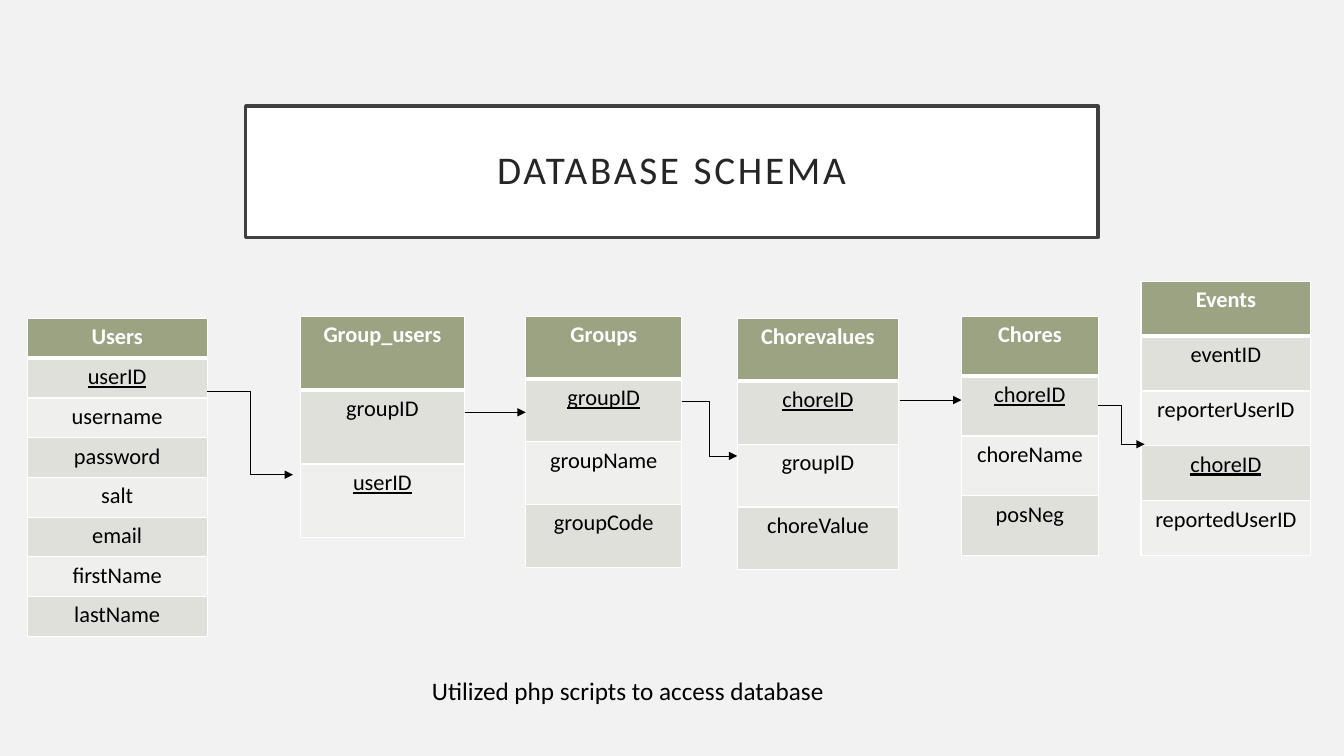
import dataclasses

import lxml.etree
import pptx
import pptx.dml.color
import pptx.enum.shapes
import pptx.enum.text
import pptx.oxml.ns
import pptx.util

Pt = pptx.util.Pt
qn = pptx.oxml.ns.qn
CENTER = pptx.enum.text.PP_ALIGN.CENTER


@dataclasses.dataclass(frozen=True)
class Theme:
    font: str = "Calibri"
    background: str = "F2F2F2"
    white: str = "FFFFFF"
    black: str = "000000"
    frame: str = "404040"
    title: str = "262626"
    header: str = "9CA383"
    bands: tuple = ("DEE0D9", "EFF0ED")
    title_size: int = 28
    note_size: int = 18
    cell_size: int = 16


theme = Theme()


def rgb(value):
    return pptx.dml.color.RGBColor.from_string(value)


def format_text(para, size, color, bold=False, underline=False):
    for span in para.runs:
        span.font.name = theme.font
        span.font.size = Pt(size)
        span.font.color.rgb = rgb(color)
        span.font.bold = bold
        span.font.underline = underline


deck = pptx.Presentation()
deck.slide_width, deck.slide_height = Pt(960), Pt(540)
page = deck.slides.add_slide(deck.slide_layouts[5])
page.background.fill.solid()
page.background.fill.fore_color.rgb = rgb(theme.background)

# Title in a framed box
title = page.shapes.title
title.left, title.top, title.width, title.height = Pt(175.5), Pt(75.8), Pt(608.7), Pt(93.8)
title.fill.solid()
title.fill.fore_color.rgb = rgb(theme.white)
title.line.color.rgb = rgb(theme.frame)
title.line.width = Pt(2.5)
frame = title.text_frame
frame.text = "DATABASE SCHEMA"
frame.word_wrap = True
frame.vertical_anchor = pptx.enum.text.MSO_ANCHOR.MIDDLE
frame.margin_left = frame.margin_top = frame.margin_right = frame.margin_bottom = Pt(14.4)
para = frame.paragraphs[0]
para.alignment = CENTER
para.line_spacing = 0.9
format_text(para, theme.title_size, theme.title)
para.runs[0].font._element.set("spc", "200")

# Schema tables: left, top, width, row height, name, fields, key field
tables = [
    (19.4, 227.5, 128.6, 28.4, "Users",
     ["userID", "username", "password", "salt", "email", "firstName", "lastName"], "userID"),
    (214.5, 226, 117.3, 52.7, "Group_users", ["groupID", "userID"], "userID"),
    (375.6, 226, 111.4, 44.8, "Groups", ["groupID", "groupName", "groupCode"], "groupID"),
    (526.6, 227.5, 115.3, 44.9, "Chorevalues", ["choreID", "groupID", "choreValue"], "choreID"),
    (686.8, 226, 97.7, 42.7, "Chores", ["choreID", "choreName", "posNeg"], "choreID"),
    (815, 200.9, 121.4, 39.2, "Events",
     ["eventID", "reporterUserID", "choreID", "reportedUserID"], "choreID"),
]
for left, top, width, row_height, name, fields, key in tables:
    labels = [name] + fields
    table = page.shapes.add_table(
        len(labels), 1, Pt(left), Pt(top), Pt(width), Pt(row_height * len(labels))).table
    for index, label in enumerate(labels):
        table.rows[index].height = Pt(row_height)
        is_header = index == 0
        cell = table.cell(index, 0)
        cell.text = label
        para = cell.text_frame.paragraphs[0]
        para.alignment = CENTER
        format_text(para, theme.cell_size, theme.white if is_header else theme.black,
                    bold=is_header, underline=label == key)

        # White borders, thicker between the header and the fields
        properties = cell._tc.get_or_add_tcPr()
        weights = {"lnL": 1, "lnR": 1, "lnT": 3 if index == 1 else 1, "lnB": 3 if is_header else 1}
        for side, weight in weights.items():
            border = lxml.etree.SubElement(properties, qn("a:" + side), w=str(Pt(weight)))
            paint = lxml.etree.SubElement(border, qn("a:solidFill"))
            lxml.etree.SubElement(paint, qn("a:srgbClr"), val=theme.white)
        cell.fill.solid()
        cell.fill.fore_color.rgb = rgb(theme.header if is_header else theme.bands[(index - 1) % 2])

# Relationship arrows: start and end
arrows = [
    (147.8, 279.4, 209.3, 339.1),
    (331.8, 294.5, 375.6, 294.5),
    (486.9, 286.5, 526.6, 325.7),
    (642.8, 285.8, 686.8, 285.8),
    (784.3, 289.8, 817.6, 317.3),
]
kinds = pptx.enum.shapes.MSO_CONNECTOR
for start_x, start_y, end_x, end_y in arrows:
    kind = kinds.STRAIGHT if start_y == end_y else kinds.ELBOW
    arrow = page.shapes.add_connector(kind, Pt(start_x), Pt(start_y), Pt(end_x), Pt(end_y))
    arrow.line.color.rgb = rgb(theme.black)
    arrow.line.width = Pt(0.5)
    lxml.etree.SubElement(arrow.line._get_or_add_ln(), qn("a:tailEnd"), type="triangle")
    lxml.etree.SubElement(arrow._element.spPr, qn("a:effectLst"))

# Note below the tables
box = page.shapes.add_textbox(Pt(301.5), Pt(479), Pt(307.5), Pt(29))
box.text_frame.word_wrap = True
box.text_frame.text = "Utilized php scripts to access database"
format_text(box.text_frame.paragraphs[0], theme.note_size, theme.black)

deck.save("out.pptx")
